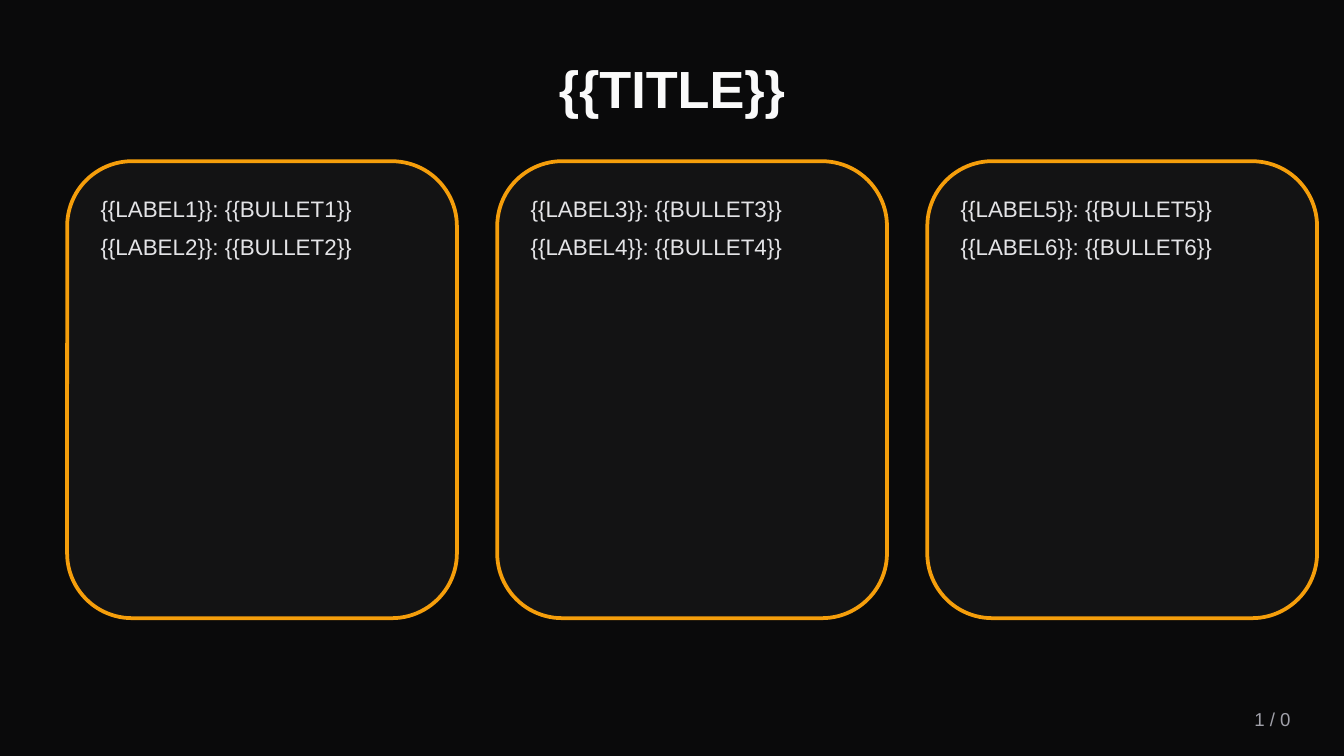
from lxml import etree
from pptx import Presentation
from pptx.dml.color import RGBColor
from pptx.enum.shapes import MSO_SHAPE
from pptx.enum.text import MSO_ANCHOR, PP_ALIGN
from pptx.oxml.ns import qn
from pptx.util import Pt

COLORS = {
    "background": "0A0A0B",
    "card": "141416",
    "accent": "F59E0B",
    "title": "FAFAFA",
    "body": "E4E4E7",
    "muted": "A1A1AA",
}


def rgb(name):
    return RGBColor.from_string(COLORS[name])


def add_text(s, lines, x, y, w, h, size=12, color="body", bold=False,
             align=PP_ALIGN.LEFT, anchor=MSO_ANCHOR.TOP, after=0):
    tf = s.shapes.add_textbox(Pt(x), Pt(y), Pt(w), Pt(h)).text_frame
    tf.word_wrap = True
    tf.vertical_anchor = anchor
    for i, line in enumerate(lines):
        p = tf.add_paragraph() if i else tf.paragraphs[0]
        p.alignment = align
        p.space_after = Pt(after)
        r = p.add_run()
        r.text = line
        r.font.name = "Arial"
        r.font.size = Pt(size)
        r.font.bold = bold
        r.font.color.rgb = rgb(color)


prs = Presentation()
prs.slide_width, prs.slide_height = Pt(720), Pt(405)
s = prs.slides.add_slide(prs.slide_layouts[6])
s.background.fill.solid()
s.background.fill.fore_color.rgb = rgb("background")

add_text(s, ["{{TITLE}}"], 36, 21.6, 648, 50.4, size=28, color="title",
         bold=True, align=PP_ALIGN.CENTER, anchor=MSO_ANCHOR.MIDDLE)

# Three cards, two labelled bullets in each
card_w, card_h, gap = 208.8, 244.8, 21.6
for i in range(3):
    x = 36 + i * (card_w + gap)
    card = s.shapes.add_shape(MSO_SHAPE.ROUNDED_RECTANGLE,
                              Pt(x), Pt(86.4), Pt(card_w), Pt(card_h))
    card.shadow.inherit = False
    card.fill.solid()
    card.fill.fore_color.rgb = rgb("card")
    fill_color = card.fill._xPr.find(qn("a:solidFill"))[0]
    etree.SubElement(fill_color, qn("a:alpha"), val="90000")
    card.line.color.rgb = rgb("accent")
    card.line.width = Pt(2)

    bullets = [f"{{{{LABEL{n}}}}}: {{{{BULLET{n}}}}}"
               for n in (2 * i + 1, 2 * i + 2)]
    add_text(s, bullets, x + 10.8, 100.8, 187.2, 216, after=6)

add_text(s, ["1 / 0"], 612, 374.4, 86.4, 21.6, size=10, color="muted",
         align=PP_ALIGN.RIGHT, anchor=MSO_ANCHOR.MIDDLE)

prs.save("out.pptx")
